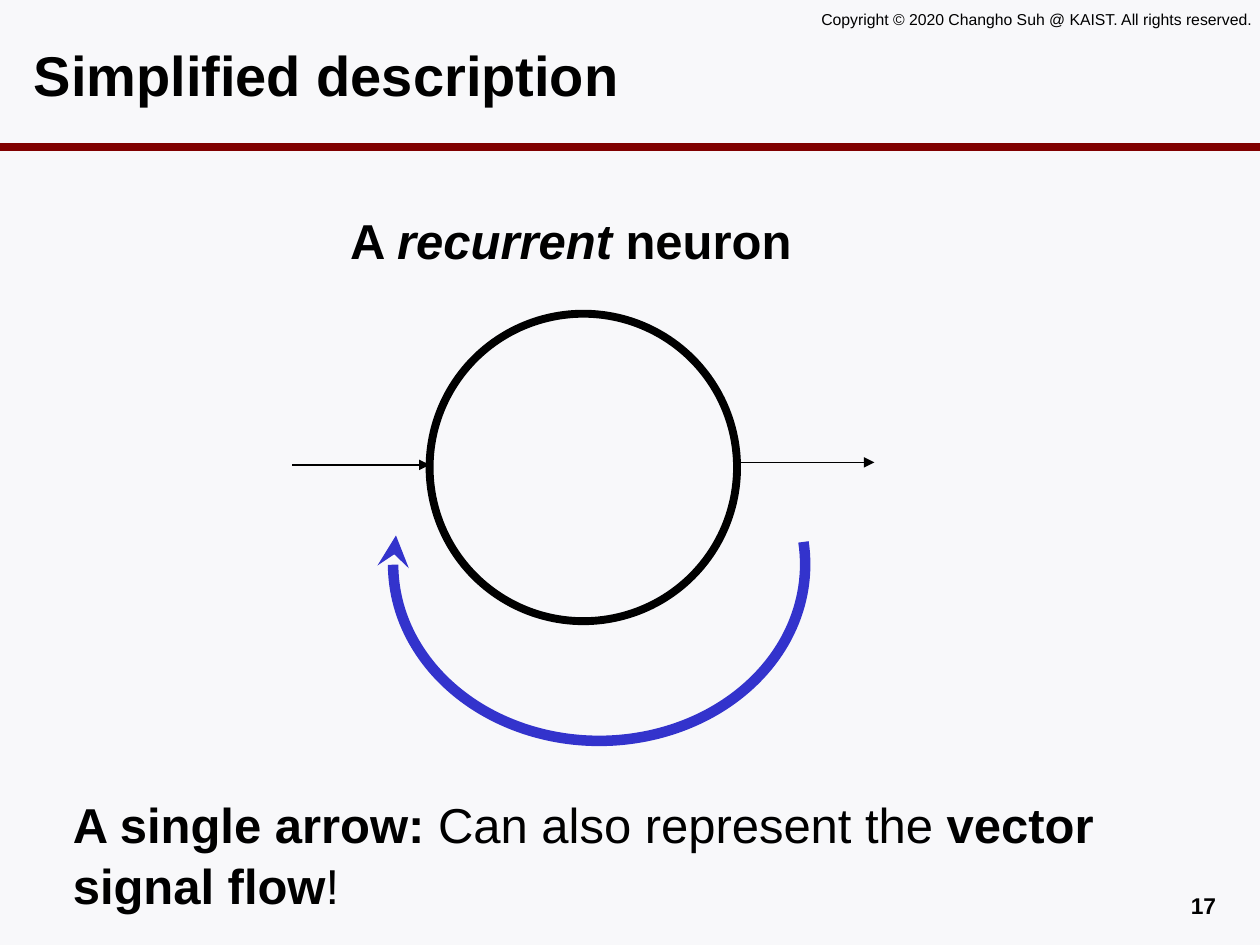
import pptx
import pptx.util
import pptx.dml.color
import pptx.enum.shapes
import pptx.enum.text
import pptx.oxml.ns
from lxml import etree

Inches, Pt = pptx.util.Inches, pptx.util.Pt
SHAPE = pptx.enum.shapes.MSO_SHAPE
ALIGN = pptx.enum.text.PP_ALIGN
ANCHOR = pptx.enum.text.MSO_ANCHOR
qn = pptx.oxml.ns.qn

COLORS = {"bg": "F8F8FA", "rule": "800000", "ink": "000000", "loop": "3333CC"}


def rgb(name):
    return pptx.dml.color.RGBColor.from_string(COLORS[name])


def style_line(sp, color, width, arrow=None):
    sp.line.color.rgb = rgb(color)
    sp.line.width = Pt(width)
    if arrow:
        etree.SubElement(sp.line._get_or_add_ln(), qn("a:tailEnd"), type=arrow)


def add_line(slide, x1, y1, x2, y2, color, width, arrow=None):
    sp = slide.shapes.add_connector(
        pptx.enum.shapes.MSO_CONNECTOR.STRAIGHT,
        Inches(x1), Inches(y1), Inches(x2), Inches(y2))
    style_line(sp, color, width, arrow)
    etree.SubElement(sp._element.spPr, qn("a:effectLst"))


def add_outline(slide, shape, x, y, w, h, color, width, arrow=None):
    sp = slide.shapes.add_shape(shape, Inches(x), Inches(y), Inches(w), Inches(h))
    sp.shadow.inherit = False
    sp.fill.background()
    style_line(sp, color, width, arrow)
    return sp


def add_text(slide, x, y, w, h, runs, size, bold=None, align=ALIGN.LEFT,
             anchor=ANCHOR.TOP, wrap=True, spacing=None):
    """Each run is (text, font attributes)."""
    sp = slide.shapes.add_textbox(Inches(x), Inches(y), Inches(w), Inches(h))
    tf = sp.text_frame
    tf.word_wrap = wrap
    tf.vertical_anchor = anchor
    p = tf.paragraphs[0]
    p.alignment = align
    if spacing:
        p.line_spacing = spacing
    p.font.name, p.font.size, p.font.bold = "Arial", Pt(size), bold
    p.font.color.rgb = rgb("ink")
    for text, attrs in runs:
        r = p.add_run()
        r.text = text
        for key, value in attrs.items():
            setattr(r.font, key, value)


def add_frame(slide, x, y, w, title, number):
    # Header rule, copyright line, title and page number
    add_line(slide, x, y + 1.17, x + w, y + 1.17, "rule", 4.5)
    add_text(slide, x + 6.42, y + 0.03, 3.73, 0.25,
             [("Copyright © 2020 Changho Suh @ KAIST. All rights reserved.", {})],
             9, wrap=False)
    add_text(slide, x + 0.17, y + 0.17, 9.56, 0.83, [(title, {})], 32,
             bold=True, anchor=ANCHOR.MIDDLE)
    add_text(slide, x + 7.42, y + 7.03, 2.33, 0.27, [(number, {})], 13,
             bold=True, align=ALIGN.RIGHT)


def add_neuron(slide, x, y):
    # Neuron body with its input and output arrows
    reach, size = 1.09, 2.44
    add_outline(slide, SHAPE.OVAL, x + reach, y, size, size, "ink", 4.5)
    for left, top in ((x, y + 1.2), (x + reach + size, y + 1.18)):
        add_line(slide, left, top, left + reach, top, "ink", 0.75, "triangle")
    # Feedback loop
    loop = add_outline(slide, SHAPE.ARC, x + 0.8, y + 0.59, 3.27, 2.8,
                       "loop", 6, "stealth")
    loop.rotation = 180
    loop.adjustments[0] = 104.216
    loop.adjustments[1] = 4.876


def main():
    prs = pptx.Presentation()
    prs.slide_width, prs.slide_height = Inches(10), Inches(7.5)
    slide = prs.slides.add_slide(prs.slide_layouts[6])
    slide.background.fill.solid()
    slide.background.fill.fore_color.rgb = rgb("bg")

    add_frame(slide, 0, 0, 10, "Simplified description", "17")
    add_neuron(slide, 2.32, 2.49)

    # Takeaway and heading
    add_text(slide, 0.48, 6.23, 8.46, 0.56,
             [("A single arrow: ", {"bold": True}),
              ("Can also represent the ", {}),
              ("vector signal flow", {"bold": True}),
              ("!", {})], 28, spacing=1.05)
    add_text(slide, 2.68, 1.6, 4.25, 0.68,
             [("A ", {}), ("recurrent", {"italic": True}), (" neuron", {})],
             28, bold=True, spacing=1.05)
    prs.save("out.pptx")


if __name__ == "__main__":
    main()
